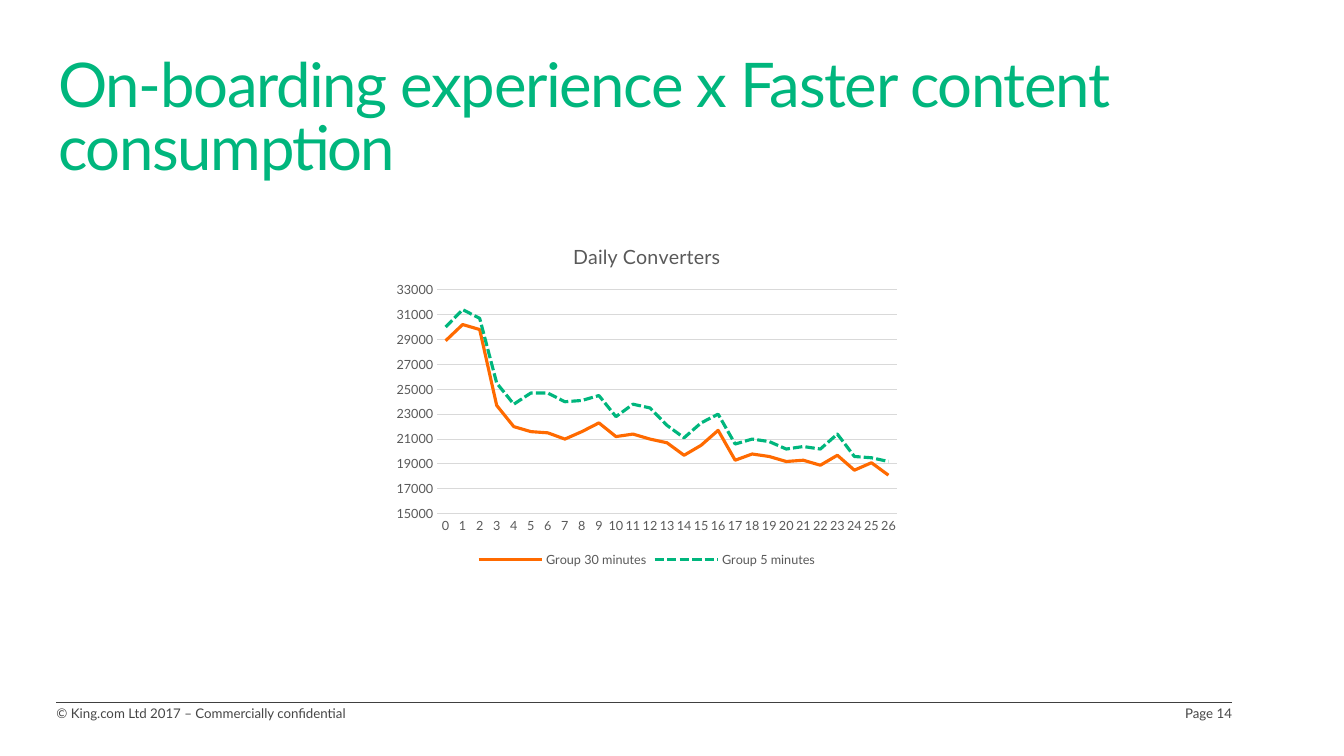
from dataclasses import dataclass

from lxml.etree import SubElement
from pptx import Presentation
from pptx.chart.data import CategoryChartData
from pptx.dml.color import RGBColor
from pptx.enum.chart import XL_CHART_TYPE as ChartType
from pptx.enum.chart import XL_LEGEND_POSITION as LegendPosition
from pptx.enum.chart import XL_MARKER_STYLE as MarkerStyle
from pptx.enum.chart import XL_TICK_MARK as TickMark
from pptx.enum.dml import MSO_LINE_DASH_STYLE as Dash
from pptx.enum.shapes import MSO_CONNECTOR as Connector
from pptx.enum.text import MSO_ANCHOR as Anchor
from pptx.enum.text import MSO_AUTO_SIZE as AutoSize
from pptx.enum.text import PP_ALIGN as Align
from pptx.oxml.ns import qn
from pptx.util import Inches, Pt


@dataclass(frozen=True)
class Theme:
    font: str = "Lato"
    green: str = "00B67D"
    orange: str = "FF6A00"
    chart_text: str = "595959"
    grid: str = "D9D9D9"
    rule: str = "404040"
    footer_text: str = "464646"
    title_size: float = 44
    chart_title_size: float = 14
    label_size: float = 9
    footer_size: float = 9.5


THEME = Theme()

GROUPS = [
    ("Group 30 minutes", THEME.orange, Dash.SOLID,
     [28900, 30200, 29800, 23700, 22000, 21600, 21500, 21000, 21600,
      22300, 21200, 21400, 21000, 20700, 19700, 20500, 21700, 19300,
      19800, 19600, 19200, 19300, 18900, 19700, 18500, 19100, 18100]),
    ("Group 5 minutes", THEME.green, Dash.SQUARE_DOT,
     [30000, 31400, 30700, 25500, 23800, 24700, 24700, 24000, 24100,
      24500, 22800, 23800, 23500, 22100, 21100, 22300, 23000, 20600,
      21000, 20800, 20200, 20400, 20200, 21400, 19600, 19500, 19200]),
]


def set_values(target, values):
    for name, value in values.items():
        setattr(target, name, value)


def format_font(font, size, color):
    set_values(font, {"name": THEME.font, "size": Pt(size), "bold": False})
    font.color.rgb = RGBColor.from_string(color)


def format_line(line, color, width):
    line.color.rgb = RGBColor.from_string(color)
    line.width = Pt(width)


def format_frame(frame, anchor):
    set_values(frame, {
        "margin_left": 0, "margin_right": 0, "margin_top": 0, "margin_bottom": 0,
        "word_wrap": True, "auto_size": AutoSize.NONE, "vertical_anchor": anchor,
    })


def add_title(slide, left, top, width, height, text):
    title = slide.shapes.title
    set_values(title, {"left": Inches(left), "top": Inches(top),
                       "width": Inches(width), "height": Inches(height)})
    format_frame(title.text_frame, Anchor.MIDDLE)
    paragraph = title.text_frame.paragraphs[0]
    set_values(paragraph, {"alignment": Align.LEFT, "line_spacing": 0.85})
    run = paragraph.add_run()
    run.text = text
    format_font(run.font, THEME.title_size, THEME.green)
    run.font._element.set("spc", "-100")


def add_converters_chart(slide, left, top, width, height):
    data = CategoryChartData()
    data.categories = [str(day) for day in range(len(GROUPS[0][3]))]
    for name, _, _, values in GROUPS:
        data.add_series(name, values)
    chart = slide.shapes.add_chart(
        ChartType.LINE, Inches(left), Inches(top), Inches(width), Inches(height), data
    ).chart
    format_font(chart.font, THEME.label_size, THEME.chart_text)

    # Title and legend
    chart.has_title = True
    paragraph = chart.chart_title.text_frame.paragraphs[0]
    run = paragraph.add_run()
    run.text = "Daily Converters"
    format_font(run.font, THEME.chart_title_size, THEME.chart_text)
    chart.has_legend = True
    set_values(chart.legend, {"position": LegendPosition.BOTTOM, "include_in_layout": False})
    format_font(chart.legend.font, THEME.label_size, THEME.chart_text)

    # Axes
    days, converters = chart.category_axis, chart.value_axis
    for axis in (days, converters):
        set_values(axis, {"major_tick_mark": TickMark.NONE, "minor_tick_mark": TickMark.NONE})
        format_font(axis.tick_labels.font, THEME.label_size, THEME.chart_text)
    format_line(days.format.line, THEME.grid, 0.75)
    set_values(converters, {"minimum_scale": 15000, "maximum_scale": 33000,
                            "major_unit": 2000, "has_major_gridlines": True})
    converters.format.line.fill.background()
    format_line(converters.major_gridlines.format.line, THEME.grid, 0.75)

    # Series
    chart.plots[0].vary_by_categories = False
    for series, (_, color, dash, _) in zip(chart.plots[0].series, GROUPS):
        series.smooth = False
        series.marker.style = MarkerStyle.NONE
        format_line(series.format.line, color, 2.25)
        series.format.line.dash_style = dash


def add_footer(slide, left, top, width, copyright_line, page):
    # Rule above the footer
    rule = slide.shapes.add_connector(
        Connector.STRAIGHT, Inches(left + width), Inches(top), Inches(left), Inches(top))
    format_line(rule.line, THEME.rule, 0.5)
    SubElement(rule._element.spPr, qn("a:effectLst"))

    # Copyright at the left end, page at the right end
    page_width = 0.79
    for text, text_left, text_width, alignment in (
        (copyright_line, left, 4.25, Align.LEFT),
        (page, left + width - page_width, page_width, Align.RIGHT),
    ):
        box = slide.shapes.add_textbox(
            Inches(text_left), Inches(top + 0.03), Inches(text_width), Inches(0.2))
        format_frame(box.text_frame, Anchor.TOP)
        paragraph = box.text_frame.paragraphs[0]
        paragraph.alignment = alignment
        run = paragraph.add_run()
        run.text = text
        format_font(run.font, THEME.footer_size, THEME.footer_text)


def main():
    presentation = Presentation()
    set_values(presentation, {"slide_width": Inches(13.33), "slide_height": Inches(7.5)})
    slide = presentation.slides.add_slide(presentation.slide_layouts.get_by_name("Title Only"))
    add_title(slide, 0.58, 0.5, 12.32, 1.38,
              "On-boarding experience x Faster content consumption")
    add_converters_chart(slide, 3.83, 2.25, 5.17, 3.42)
    add_footer(slide, 0.56, 6.97, 11.66,
               "© King.com Ltd 2017 – Commercially confidential", "Page 14")
    presentation.save("out.pptx")


if __name__ == "__main__":
    main()
